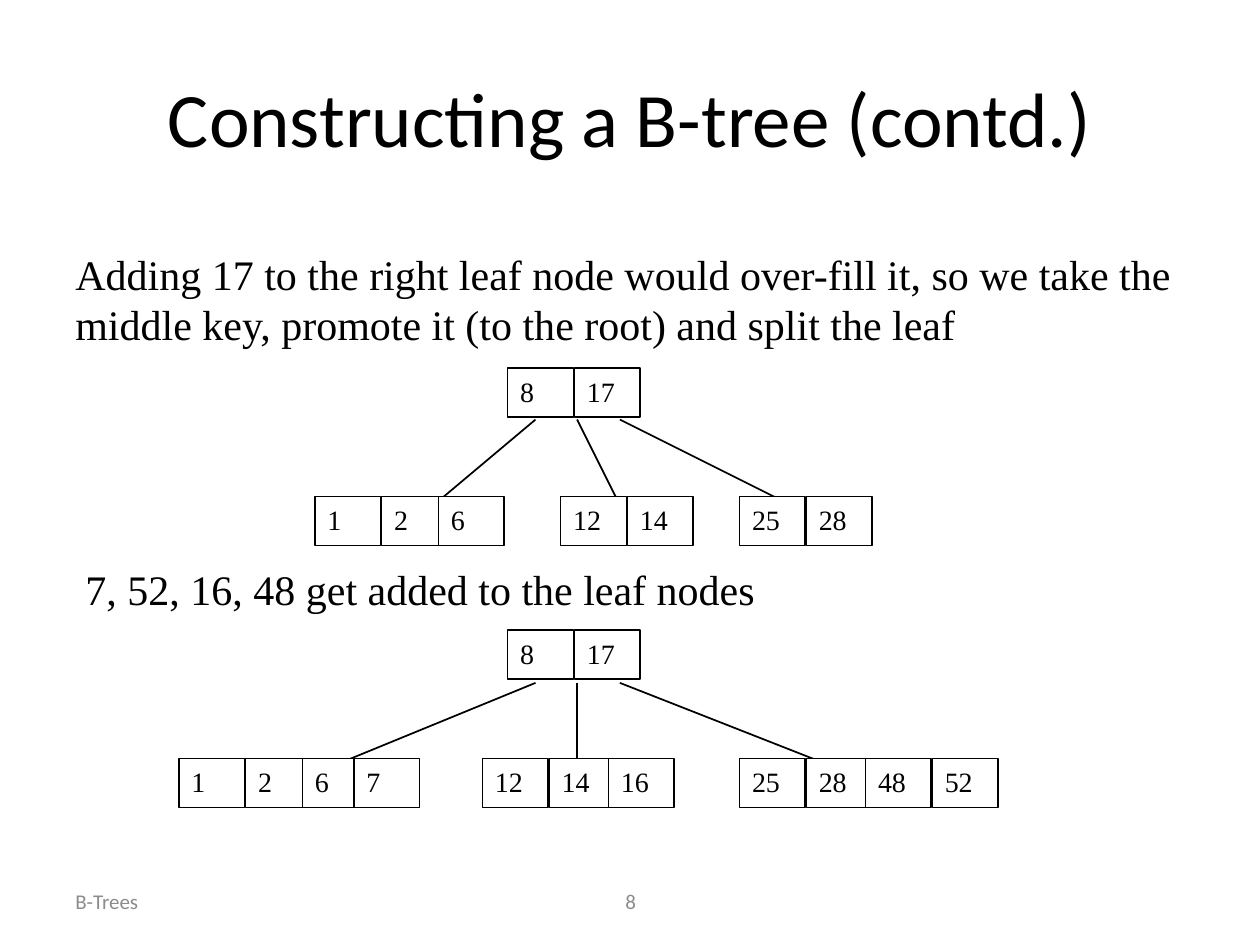
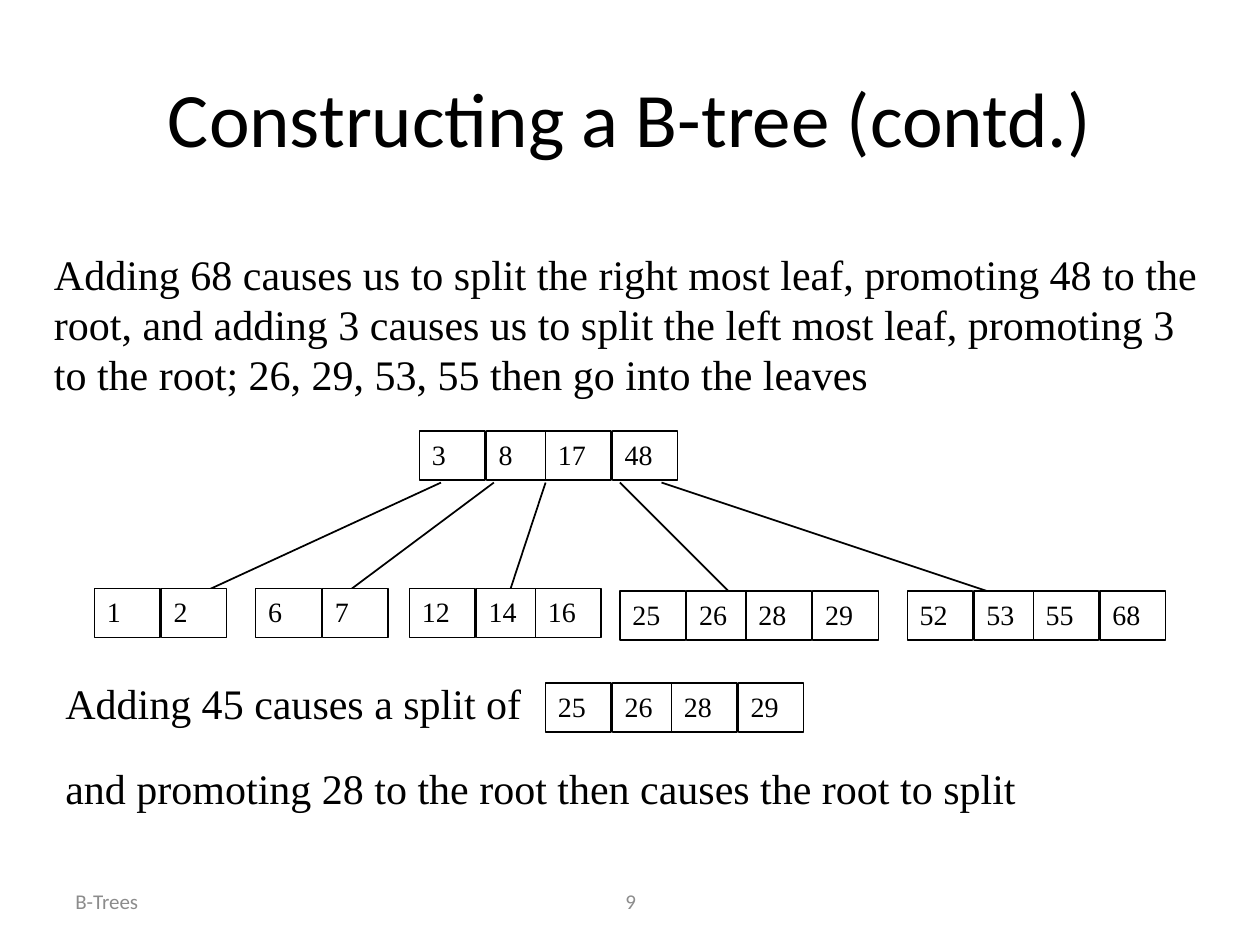
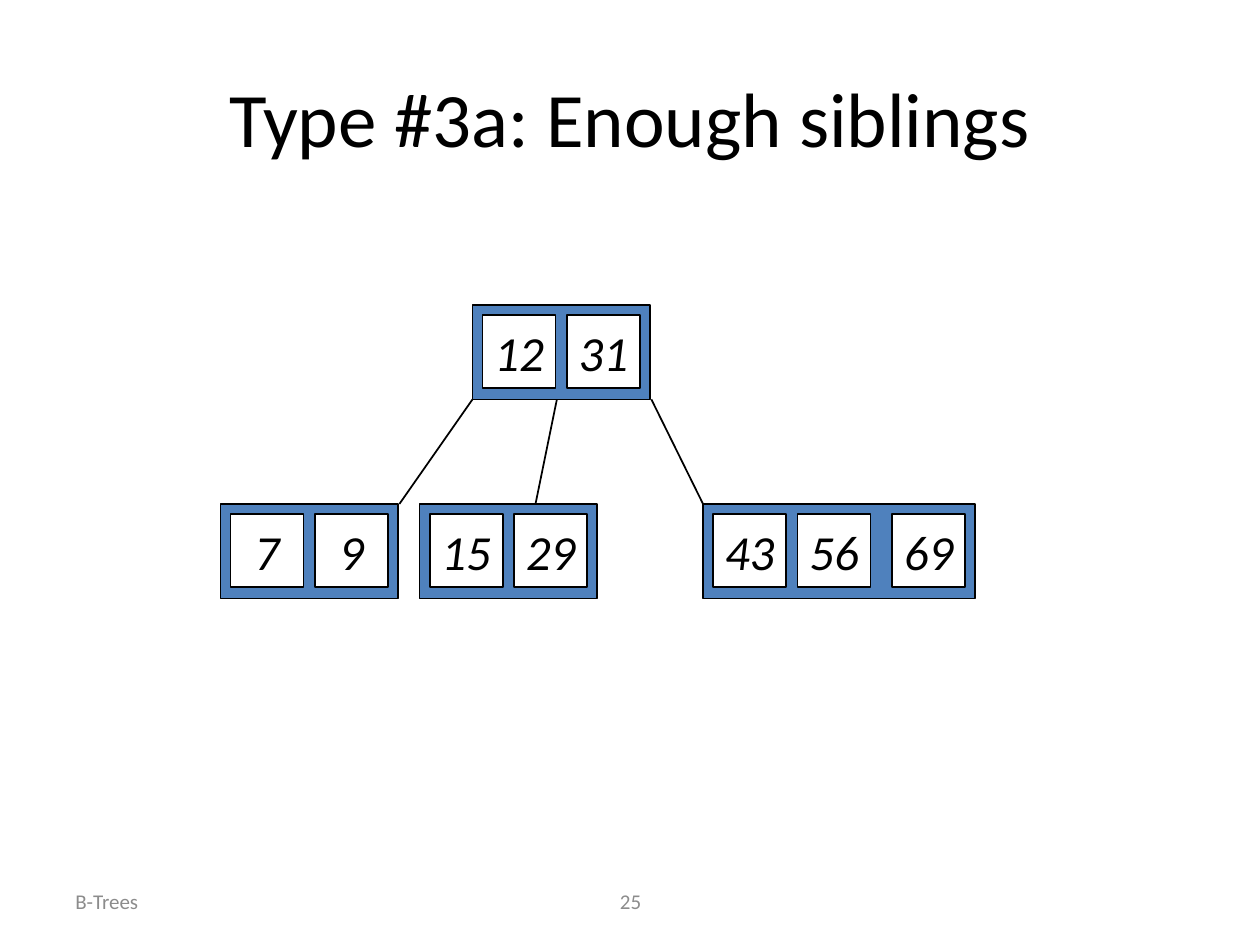
from lxml import etree
from pptx import Presentation
from pptx.dml.color import RGBColor
from pptx.enum.shapes import MSO_CONNECTOR, MSO_SHAPE
from pptx.enum.text import MSO_ANCHOR, PP_ALIGN
from pptx.oxml.ns import qn
from pptx.util import Inches, Pt

BLACK = RGBColor(0x00, 0x00, 0x00)
WHITE = RGBColor(0xFF, 0xFF, 0xFF)
BLUE = RGBColor(0x4F, 0x81, 0xBD)
GRAY = RGBColor(0x8C, 0x8C, 0x8C)
SANS, SERIF = "Calibri", "Times New Roman"
LEFT, CENTER = PP_ALIGN.LEFT, PP_ALIGN.CENTER
TOP, MIDDLE = MSO_ANCHOR.TOP, MSO_ANCHOR.MIDDLE
RECTANGLE, STRAIGHT = MSO_SHAPE.RECTANGLE, MSO_CONNECTOR.STRAIGHT

# Plain nodes: cells overlap a little, and some nodes are packed tighter
CELL_WIDTH, CELL_HEIGHT = 0.52, 0.39
CELL_OFFSETS = (0, 0.53, 1, 1.53)
TIGHT_OFFSETS = (0, 0.53, 0.98, 1.39)
# Framed nodes: square keys inside a blue frame
KEY_SIZE, KEY_MARGIN, FRAME_HEIGHT = 0.58, 0.08, 0.75
KEY_OFFSETS = (0.08, 0.75, 1.5)

# Notes: left, top, width, height, text
# Edges: parent x, parent y, child x, child y
# Nodes: left, top, keys, offsets of the keys
PAGES = [
    {
        "title": "Constructing a B-tree (contd.)",
        "number": 8,
        "framed": False,
        "notes": [
            (0.5, 1.92, 9.17, 0.9,
             "Adding 17 to the right leaf node would over-fill it, so we take "
             "the middle key, promote it (to the root) and split the leaf"),
            (0.58, 4.42, 9, 0.5, "7, 52, 16, 48 get added to the leaf nodes"),
        ],
        "edges": [
            (4.25, 3.33, 3.25, 4.17), (4.58, 3.33, 5, 4.17),
            (4.92, 3.33, 6.42, 4.08), (4.25, 5.42, 2.42, 6.17),
            (4.58, 5.42, 4.58, 6.25), (4.92, 5.42, 6.83, 6.17),
        ],
        "nodes": [
            (4.03, 2.92, (8, 17), CELL_OFFSETS),
            (2.5, 3.94, (1, 2, 6), TIGHT_OFFSETS),
            (4.45, 3.94, (12, 14), CELL_OFFSETS),
            (5.87, 3.94, (25, 28), CELL_OFFSETS),
            (4.03, 5, (8, 17), CELL_OFFSETS),
            (1.42, 6.02, (1, 2, 6, 7), TIGHT_OFFSETS),
            (3.83, 6.02, (12, 14, 16), CELL_OFFSETS),
            (5.87, 6.02, (25, 28, 48, 52), CELL_OFFSETS),
        ],
    },
    {
        "title": "Constructing a B-tree (contd.)",
        "number": 9,
        "framed": False,
        "notes": [
            (0.33, 1.92, 9.33, 1.3,
             "Adding 68 causes us to split the right most leaf, promoting 48 "
             "to the root, and adding 3 causes us to split the left most leaf, "
             "promoting 3 to the root; 26, 29, 53, 55 then go into the leaves"),
            (0.42, 5.33, 4, 0.5, "Adding 45 causes a split of"),
            (0.42, 6, 9.08, 0.5,
             "and promoting 28 to the root then causes the root to split"),
        ],
        "edges": [
            (3.5, 3.83, 1.33, 4.83), (3.92, 3.83, 2.58, 4.83),
            (4.33, 3.83, 4, 4.83), (4.92, 3.83, 5.92, 4.83),
            (5.25, 3.83, 8.25, 4.83),
        ],
        "nodes": [
            (3.33, 3.42, (3, 8, 17, 48), CELL_OFFSETS),
            (0.75, 4.67, (1, 2), CELL_OFFSETS),
            (2.03, 4.67, (6, 7), CELL_OFFSETS),
            (3.25, 4.67, (12, 14, 16), CELL_OFFSETS),
            (4.92, 4.69, (25, 26, 28, 29), CELL_OFFSETS),
            (7.2, 4.69, (52, 53, 55, 68), CELL_OFFSETS),
            (4.33, 5.42, (25, 26, 28, 29), CELL_OFFSETS),
        ],
    },
    {
        "title": "Type #3a: Enough siblings",
        "number": 25,
        "framed": True,
        "notes": [],
        "edges": [
            (3.75, 3.17, 3.17, 4), (4.42, 3.17, 4.25, 4),
            (5.17, 3.17, 5.58, 4),
        ],
        "nodes": [
            (3.75, 2.42, (12, 31), KEY_OFFSETS),
            (1.75, 4, (7, 9), KEY_OFFSETS),
            (3.33, 4, (15, 29), KEY_OFFSETS),
            (5.58, 4, (43, 56, 69), KEY_OFFSETS),
        ],
    },
]


def write(box, text, font, size, color=BLACK, align=LEFT, anchor=TOP):
    frame = box.text_frame
    frame.text = str(text)
    frame.word_wrap = True
    frame.vertical_anchor = anchor
    para = frame.paragraphs[0]
    para.alignment = align
    para.font.name = font
    para.font.size = Pt(size)
    para.font.color.rgb = color
    return para


def add_rectangle(page, left, top, width, height, fill, line_width):
    box = page.shapes.add_shape(
        RECTANGLE, Inches(left), Inches(top), Inches(width), Inches(height))
    box.shadow.inherit = False
    box.fill.solid()
    box.fill.fore_color.rgb = fill
    box.line.color.rgb = BLACK
    box.line.width = Pt(line_width)
    return box


deck = Presentation()
deck.slide_width, deck.slide_height = Inches(10), Inches(7.5)
title_only = deck.slide_layouts[5]

for content in PAGES:
    page = deck.slides.add_slide(title_only)

    title = page.shapes.title
    title.left, title.top = Inches(0.5), Inches(0.3)
    title.width, title.height = Inches(9), Inches(1.25)
    write(title, content["title"], SANS, 44, align=CENTER, anchor=MIDDLE)

    for left, width, text, align in ((0.5, 2.33, "B-Trees", LEFT),
                                     (3.42, 3.17, content["number"], CENTER)):
        footer = page.shapes.add_textbox(
            Inches(left), Inches(6.95), Inches(width), Inches(0.4))
        write(footer, text, SANS, 12, GRAY, align, MIDDLE)

    for left, top, width, height, text in content["notes"]:
        note = page.shapes.add_textbox(
            Inches(left), Inches(top), Inches(width), Inches(height))
        write(note, text, SERIF, 24)

    for edge_ends in content["edges"]:
        edge = page.shapes.add_connector(STRAIGHT, *map(Inches, edge_ends))
        edge.line.color.rgb = BLACK
        edge.line.width = Pt(1)
        etree.SubElement(edge._element.spPr, qn("a:effectLst"))

    for left, top, keys, offsets in content["nodes"]:
        if content["framed"]:
            frame_width = offsets[len(keys) - 1] + KEY_SIZE + KEY_MARGIN
            add_rectangle(page, left, top, frame_width, FRAME_HEIGHT, BLUE, 1)
        for key, offset in zip(keys, offsets):
            if content["framed"]:
                cell = add_rectangle(page, left + offset, top + KEY_MARGIN,
                                     KEY_SIZE, KEY_SIZE, WHITE, 1)
                para = write(cell, key, SANS, 28, align=CENTER, anchor=MIDDLE)
                para.font.italic = True
                cell.text_frame.word_wrap = False
            else:
                cell = add_rectangle(page, left + offset, top,
                                     CELL_WIDTH, CELL_HEIGHT, WHITE, 0.75)
                write(cell, key, SERIF, 16)

deck.save("out.pptx")
